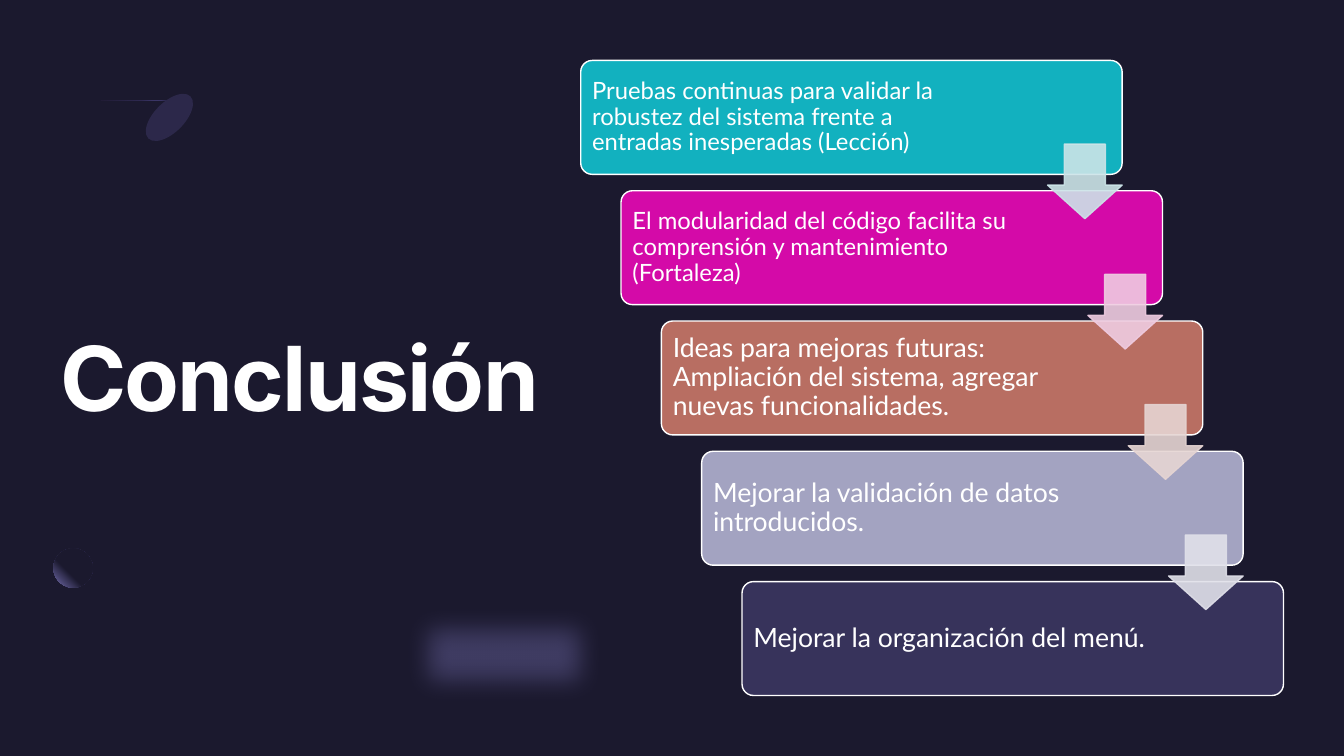
from lxml import etree
from pptx import Presentation
from pptx import util as u
from pptx.dml.color import RGBColor
from pptx.enum import shapes, text
from pptx.oxml import ns

THEME = {
    "background": "1B192E", "white": "FFFFFF",
    "shade": "2C284A", "glow": "454075", "lilac": "7771B2",
    "title_font": "Inter", "title_size": 64,
    "card_font": "Lato",
}

TITLE = "Conclusión"
STEPS = [
    {"text": "Pruebas continuas para validar la robustez del sistema frente a entradas inesperadas (Lección)",
     "size": 17, "fill": "12B1BF", "arrow": "CCE4E8", "right": 1.36},
    {"text": "El modularidad del código facilita su comprensión y mantenimiento (Fortaleza)",
     "size": 17, "fill": "D40AA8", "arrow": "EFCCE1", "right": 1.21},
    {"text": "Ideas para mejoras futuras: Ampliación del sistema, agregar nuevas funcionalidades.",
     "size": 19, "fill": "B86E62", "arrow": "E6D5D3", "right": 1.21},
    {"text": "Mejorar la validación de datos introducidos.",
     "size": 19, "fill": "A3A3C1", "arrow": "E0E0E9", "right": 1.21},
    {"text": "Mejorar la organización del menú.",
     "size": 19, "fill": "37335B", "arrow": None, "right": 1.21},
]
CARD_LEFT, CARD_TOP, CARD_WIDTH, CARD_HEIGHT = 5.76, 0.6, 5.37, 1.13
STEP_X, STEP_Y = 0.4, 1.2925
ARROW_SIZE, ARROW_DROP = 0.74, 0.83

CONE = [(1.29, 0.78), (1.85, 0.94), (1.86, 0.94),
        (1.87, 0.95, 1.88, 0.95, 1.88, 0.96),
        (1.94, 1.02, 1.89, 1.16, 1.78, 1.27),
        (1.66, 1.39, 1.52, 1.43, 1.47, 1.38),
        (1.46, 1.37, 1.45, 1.36, 1.45, 1.35)]
RING = [(4.8, 6.21), (5.11, 6.19, 5.43, 6.32, 5.68, 6.57), (5.33, 6.93),
        (5.1, 6.7, 4.76, 6.68, 4.56, 6.88),
        (4.42, 7.03, 4.39, 7.26, 4.48, 7.46),
        (4.5, 7.5), (3.94, 7.5), (3.92, 7.43),
        (3.84, 7.08, 3.91, 6.72, 4.16, 6.48),
        (4.33, 6.3, 4.56, 6.21, 4.8, 6.21)]


def rgb(color):
    return RGBColor.from_string(color)


def curve_points(outline, pieces=10):
    points = [outline[0]]
    for segment in outline[1:]:
        if len(segment) == 2:
            points.append(segment)
            continue
        start, ends = points[-1], (segment[:2], segment[2:4], segment[4:])
        for piece in range(1, pieces + 1):
            t = piece / pieces
            weights = ((1 - t) ** 3, 3 * t * (1 - t) ** 2, 3 * t * t * (1 - t), t ** 3)
            points.append(tuple(
                sum(w * point[axis] for w, point in zip(weights, (start, *ends)))
                for axis in (0, 1)))
    return points


def add_outline(slide, outline):
    points = curve_points(outline)
    builder = slide.shapes.build_freeform(*points[0], scale=u.Inches(1))
    builder.add_line_segments(points[1:], close=True)
    drawn = builder.convert_to_shape()
    drawn.shadow.inherit = False
    drawn.line.fill.background()
    return drawn


def add_preset(slide, preset, left, top, width, height):
    drawn = slide.shapes.add_shape(preset, *map(u.Inches, (left, top, width, height)))
    drawn.shadow.inherit = False
    drawn.line.fill.background()
    return drawn


def paint(fill, color, opacity=100):
    fill.solid()
    fill.fore_color.rgb = rgb(color)
    if opacity < 100:
        tone = fill._xPr.find(".//" + ns.qn("a:srgbClr"))
        etree.SubElement(tone, ns.qn("a:alpha"), val=str(opacity * 1000))


def paint_gradient(shape, stops, angle=None, focus=None):
    shape.fill.gradient()
    gradient = shape.fill._xPr.find(ns.qn("a:gradFill"))
    for child in list(gradient):
        gradient.remove(child)
    stop_list = etree.SubElement(gradient, ns.qn("a:gsLst"))
    for position, color in stops:
        stop = etree.SubElement(stop_list, ns.qn("a:gs"), pos=str(position * 1000))
        etree.SubElement(stop, ns.qn("a:srgbClr"), val=color)
    if focus:
        radial = etree.SubElement(gradient, ns.qn("a:path"), path="circle")
        etree.SubElement(radial, ns.qn("a:fillToRect"), **focus)
    else:
        etree.SubElement(gradient, ns.qn("a:lin"), ang=str(angle * 60000), scaled="0")


def write(shape, words, font, size, insets, bold=False):
    frame = shape.text_frame
    frame.word_wrap = True
    frame.vertical_anchor = text.MSO_ANCHOR.MIDDLE
    frame.margin_left, frame.margin_top, frame.margin_right, frame.margin_bottom = map(u.Inches, insets)
    frame.text = words
    paragraph = frame.paragraphs[0]
    paragraph.alignment = text.PP_ALIGN.LEFT
    run = paragraph.runs[0]
    run.font.name, run.font.size, run.font.bold = font, u.Pt(size), bold
    run.font.color.rgb = rgb(THEME["white"])
    return paragraph


def add_ornaments(slide):
    cone = add_outline(slide, CONE)
    paint_gradient(cone, [(30, THEME["shade"]), (40, THEME["glow"]),
                          (60, THEME["shade"]), (100, THEME["background"])], angle=125)
    cone_base = add_preset(slide, shapes.MSO_SHAPE.OVAL, 1.53, 0.87, 0.3, 0.59)
    cone_base.rotation = 45
    paint(cone_base.fill, THEME["shade"])

    sphere = add_preset(slide, shapes.MSO_SHAPE.OVAL, 0.53, 5.44, 0.39, 0.39)
    paint_gradient(sphere, [(60, THEME["background"]), (100, THEME["lilac"])],
                   focus={"l": "100000", "b": "100000"})

    ring = add_outline(slide, RING)
    paint(ring.fill, THEME["lilac"], 40)
    effects = ring._element.spPr.find(ns.qn("a:effectLst"))
    etree.SubElement(effects, ns.qn("a:softEdge"), rad=str(u.Inches(0.25)))


def add_steps(slide):
    corners = [(CARD_LEFT + i * STEP_X, CARD_TOP + i * STEP_Y) for i in range(len(STEPS))]
    for step, (left, top) in zip(STEPS, corners):
        card = add_preset(slide, shapes.MSO_SHAPE.ROUNDED_RECTANGLE, left, top, CARD_WIDTH, CARD_HEIGHT)
        card.adjustments[0] = 0.1
        paint(card.fill, step["fill"])
        paint(card.line.fill, THEME["white"])
        card.line.width = u.Pt(1)
        paragraph = write(card, step["text"], THEME["card_font"], step["size"],
                          (0.08, 0.07, step["right"], 0.07))
        paragraph.line_spacing = 0.9

    for step, (left, top) in zip(STEPS, corners):
        if step["arrow"]:
            arrow = add_preset(slide, shapes.MSO_SHAPE.DOWN_ARROW, left + CARD_WIDTH - ARROW_SIZE,
                               top + ARROW_DROP, ARROW_SIZE, ARROW_SIZE)
            arrow.adjustments[0], arrow.adjustments[1] = 0.55, 0.45
            paint(arrow.fill, step["arrow"], 90)
            paint(arrow.line.fill, step["arrow"], 90)
            arrow.line.width = u.Pt(1)


def main():
    deck = Presentation()
    deck.slide_width, deck.slide_height = u.Inches(13.33), u.Inches(7.5)
    slide = deck.slides.add_slide(deck.slide_layouts[6])
    paint(slide.background.fill, THEME["background"])

    title = slide.shapes.add_textbox(*map(u.Inches, (0.6, 1.66, 4.96, 4.13)))
    heading = write(title, TITLE, THEME["title_font"], THEME["title_size"], (0, 0, 0, 0), bold=True)
    heading.runs[0].font._element.set("spc", "-130")

    add_ornaments(slide)
    add_steps(slide)
    deck.save("out.pptx")


if __name__ == "__main__":
    main()
